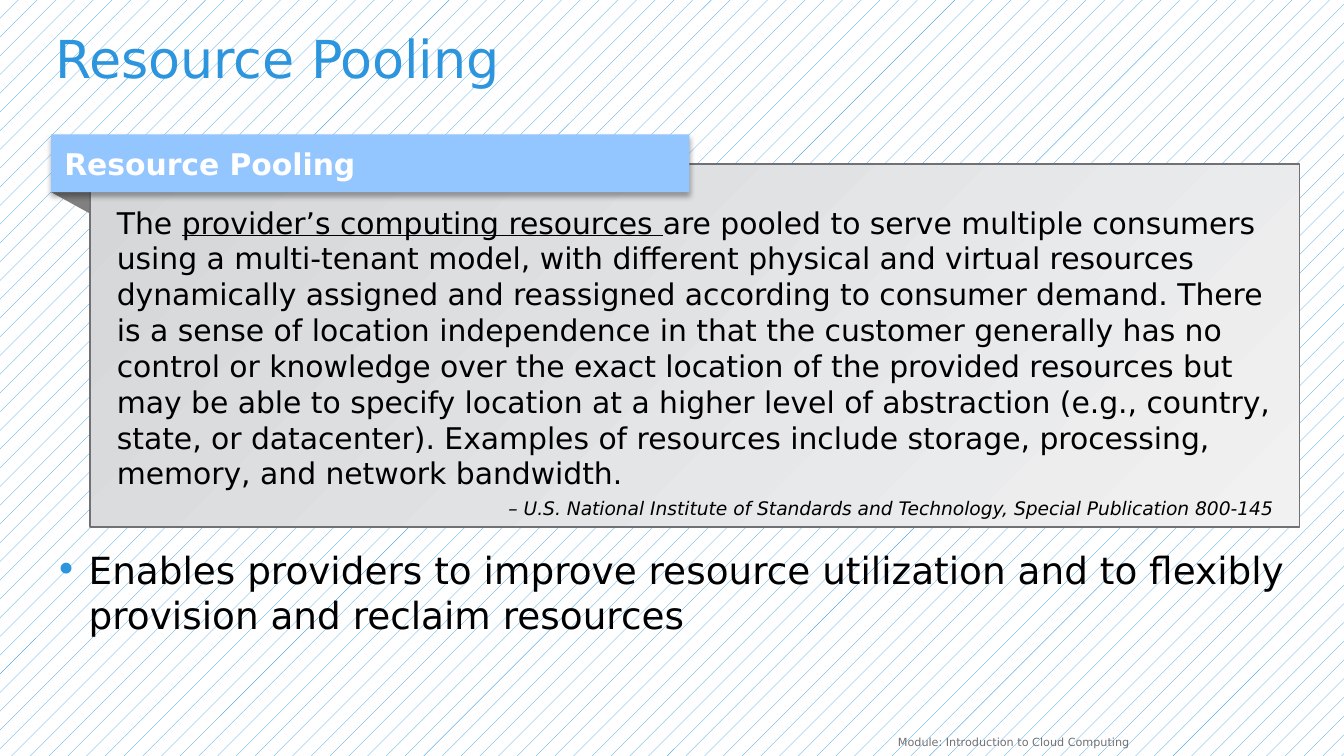
"""Build the Resource Pooling definition slide."""
from dataclasses import dataclass

from lxml import etree
from pptx import Presentation
from pptx import util as u
from pptx.dml.color import RGBColor
from pptx.enum import dml, shapes, text
from pptx.oxml import ns


@dataclass(frozen=True)
class Theme:
    font: str = "DejaVu Sans"
    accent: str = "2C95DD"
    ribbon: str = "93C5FF"
    fold: str = "808080"
    grey: str = "717074"
    black: str = "000000"
    white: str = "FFFFFF"
    panel: tuple[str, str] = ("D4D6D8", "F1F1F2")
    title: float = 28
    body: float = 20
    text: float = 16
    source: float = 10
    footer: float = 6


@dataclass(frozen=True)
class Box:
    left: float
    top: float
    width: float
    height: float

    def lengths(self) -> list[u.Length]:
        return [u.Inches(v) for v in (self.left, self.top, self.width, self.height)]


@dataclass(frozen=True)
class Label:
    box: Box
    words: str
    size: float
    color: str
    inset: tuple[float, float] = (0, 0)
    align: text.PP_ALIGN = text.PP_ALIGN.LEFT
    spacing: float = 1.0
    bullet: bool = False


T = Theme()
SLIDE_WIDTH = 10
SLIDE_HEIGHT = SLIDE_WIDTH * 9 / 16
PANEL = Box(0.67, 1.22, 9, 2.7)
RIBBON = Box(0.38, 1, 4.75, 0.43)
LABELS = [
    Label(Box(0.41, 0.25, 9.25, 0.5), "Resource Pooling", T.title, T.accent, spacing=0.9),
    Label(Box(0.41, 4.07, 9.25, 0.76),
          "Enables providers to improve resource utilization and to flexibly "
          "provision and reclaim resources", T.body, T.black, bullet=True),
    Label(Box(2.83, 5.42, 5.67, 0.15), "Module: Introduction to Cloud Computing",
          T.footer, T.grey, (0.1, 0.05), text.PP_ALIGN.RIGHT),
]
DEFINITION = [
    "The ",
    "provider’s computing resources ",
    "are pooled to serve multiple consumers using a multi-tenant model, with different "
    "physical and virtual resources dynamically assigned and reassigned according to "
    "consumer demand. There is a sense of location independence in that the customer "
    "generally has no control or knowledge over the exact location of the provided "
    "resources but may be able to specify location at a higher level of abstraction "
    "(e.g., country, state, or datacenter). Examples of resources include storage, "
    "processing, memory, and network bandwidth.",
]
SOURCE = "– U.S. National Institute of Standards and Technology, Special Publication 800-145"


def rgb(color: str) -> RGBColor:
    """Turn a hex string into a colour."""
    return RGBColor.from_string(color)


def style(r, size: float, color: str) -> None:
    """Set the typeface, size and colour of a run."""
    r.font.name = T.font
    r.font.size = u.Pt(size)
    r.font.color.rgb = rgb(color)


def set_insets(tf, left: float, top: float, right: float, bottom: float) -> None:
    """Wrap a text frame and set its margins in inches."""
    tf.word_wrap = True
    tf.margin_left, tf.margin_top = u.Inches(left), u.Inches(top)
    tf.margin_right, tf.margin_bottom = u.Inches(right), u.Inches(bottom)


def add_bullet(p) -> None:
    """Give a paragraph an accent bullet with a hanging indent."""
    pPr = p._p.get_or_add_pPr()
    pPr.set("marL", str(u.Inches(0.25)))
    pPr.set("indent", str(-u.Inches(0.25)))
    clr = etree.SubElement(pPr, ns.qn("a:buClr"))
    etree.SubElement(clr, ns.qn("a:srgbClr"), val=T.accent)
    etree.SubElement(pPr, ns.qn("a:buFont"), typeface=T.font)
    etree.SubElement(pPr, ns.qn("a:buChar"), char="•")


def add_label(s, label: Label) -> None:
    """Draw one text box."""
    tf = s.shapes.add_textbox(*label.box.lengths()).text_frame
    set_insets(tf, *label.inset, *label.inset)
    tf.text = label.words
    p = tf.paragraphs[0]
    p.alignment = label.align
    p.line_spacing = label.spacing
    if label.bullet:
        add_bullet(p)
    style(p.runs[0], label.size, label.color)


def add_fold(s) -> None:
    """Draw the folded end of the ribbon."""
    bottom = RIBBON.top + RIBBON.height
    fb = s.shapes.build_freeform(u.Inches(RIBBON.left), u.Inches(bottom))
    fb.add_line_segments([(u.Inches(PANEL.left), u.Inches(bottom)),
                          (u.Inches(PANEL.left), u.Inches(bottom + 0.16))])
    sp = fb.convert_to_shape()
    sp.shadow.inherit = False
    sp.fill.solid()
    sp.fill.fore_color.rgb = rgb(T.fold)
    sp.line.fill.background()


def add_panel(s) -> None:
    """Draw the definition panel with its source line."""
    sp = s.shapes.add_shape(shapes.MSO_SHAPE.RECTANGLE, *PANEL.lengths())
    sp.shadow.inherit = False
    sp.fill.gradient()
    sp.fill.gradient_angle = 315
    for stop, color in zip(sp.fill.gradient_stops, T.panel):
        stop.color.rgb = rgb(color)
    sp.line.color.rgb = rgb(T.grey)
    sp.line.width = u.Pt(1)
    tf = sp.text_frame
    set_insets(tf, 0.2, 0.3, 0.2, 0.05)
    tf.vertical_anchor = text.MSO_ANCHOR.TOP
    p = tf.paragraphs[0]
    p.alignment = text.PP_ALIGN.LEFT
    for words in DEFINITION:
        r = p.add_run()
        r.text = words
        style(r, T.text, T.black)
    p.runs[1].font.underline = True
    p = tf.add_paragraph()
    p.text = SOURCE
    p.alignment = text.PP_ALIGN.RIGHT
    p.space_before = u.Pt(3.5)
    style(p.runs[0], T.source, T.black)
    p.runs[0].font.italic = True


def add_ribbon(s) -> None:
    """Draw the heading ribbon with its soft shadow."""
    sp = s.shapes.add_shape(shapes.MSO_SHAPE.RECTANGLE, *RIBBON.lengths())
    sp.fill.solid()
    sp.fill.fore_color.rgb = rgb(T.ribbon)
    sp.line.fill.background()
    sp.shadow.inherit = False
    effects = sp._element.spPr.find(ns.qn("a:effectLst"))
    shadow = etree.SubElement(effects, ns.qn("a:outerShdw"), blurRad=str(u.Pt(3.1)),
                              dist=str(u.Pt(1.8)), dir="5400000", rotWithShape="0")
    clr = etree.SubElement(shadow, ns.qn("a:srgbClr"), val=T.black)
    etree.SubElement(clr, ns.qn("a:alpha"), val="35000")
    tf = sp.text_frame
    set_insets(tf, 0.1, 0.05, 0.1, 0.05)
    tf.vertical_anchor = text.MSO_ANCHOR.MIDDLE
    tf.text = "Resource Pooling"
    p = tf.paragraphs[0]
    p.alignment = text.PP_ALIGN.LEFT
    style(p.runs[0], T.text, T.white)
    p.runs[0].font.bold = True


def main() -> None:
    """Build and save the slide."""
    prs = Presentation()
    prs.slide_width, prs.slide_height = u.Inches(SLIDE_WIDTH), u.Inches(SLIDE_HEIGHT)
    s = prs.slides.add_slide(prs.slide_layouts[6])
    fill = s.background.fill
    fill.patterned()
    fill.pattern = dml.MSO_PATTERN.PERCENT_5
    fill.fore_color.rgb = rgb(T.accent)
    fill.back_color.rgb = rgb(T.white)
    for label in LABELS:
        add_label(s, label)
    add_fold(s)
    add_panel(s)
    add_ribbon(s)
    prs.save("out.pptx")


if __name__ == "__main__":
    main()
